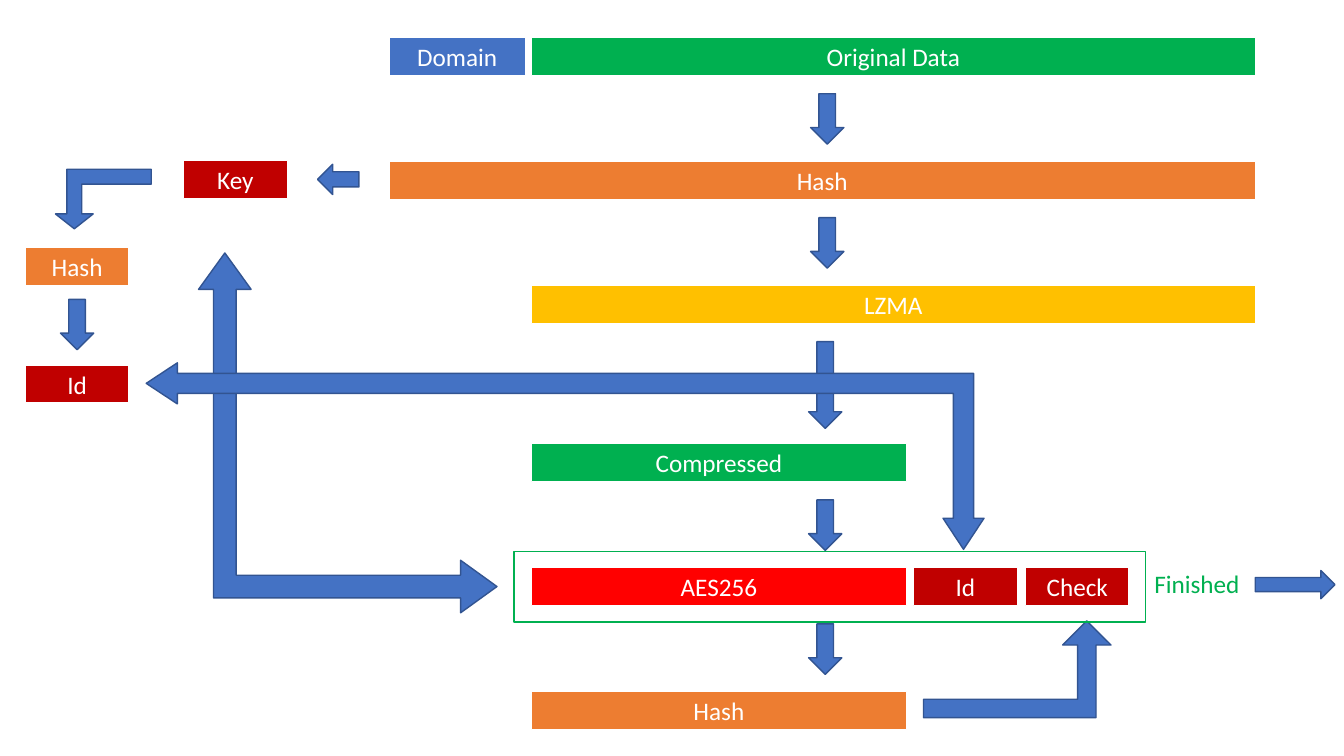
from dataclasses import dataclass

from pptx import Presentation
from pptx.dml.color import RGBColor
from pptx.enum.shapes import MSO_SHAPE as Shape
from pptx.enum.text import MSO_ANCHOR as Anchor, PP_ALIGN as Align
from pptx.util import Inches, Pt


@dataclass(frozen=True)
class Theme:
    font: str = "Calibri"
    size: int = 18
    line_width: int = 1
    white: str = "FFFFFF"
    blue: str = "4472C4"
    blue_edge: str = "325491"
    green: str = "00B050"
    orange: str = "ED7D31"
    yellow: str = "FFC000"
    red: str = "FF0000"
    dark_red: str = "C00000"


THEME = Theme()

# Grid, in inches
PITCH = 1.23
BAR_HEIGHT = 0.38
ROWS = [top + PITCH * step for top, count in ((0.37, 3), (4.4, 3)) for step in range(count)]
DATA_ROW, HASH_ROW, LZMA_ROW, COMPRESSED_ROW, AES_ROW, CHECK_HASH_ROW = ROWS
ID_COLUMN, KEY_COLUMN, DOMAIN_COLUMN, DATA_COLUMN = 0.25, 1.82, 3.86, 5.27
RIGHT_EDGE = 12.45
DATA_WIDTH = RIGHT_EDGE - DATA_COLUMN
COMPRESSED_WIDTH = 3.72
SMALL_WIDTH = 1.03
ARROW_WIDTH, ARROW_HEIGHT, ARROW_GAP = 0.33, 0.5, 0.18


def color(value):
    return RGBColor.from_string(value)


def write_text(shape, text, ink=THEME.white, align=Align.CENTER, anchor=Anchor.MIDDLE):
    frame = shape.text_frame
    frame.word_wrap = True
    frame.vertical_anchor = anchor
    paragraph = frame.paragraphs[0]
    paragraph.alignment = align
    run = paragraph.add_run()
    run.text = text
    run.font.name = THEME.font
    run.font.size = Pt(THEME.size)
    run.font.color.rgb = color(ink)


def add_block(slide, kind, box, fill=None, line=THEME.white):
    shape = slide.shapes.add_shape(kind, *map(Inches, box))
    shape.shadow.inherit = False
    if fill:
        shape.fill.solid()
        shape.fill.fore_color.rgb = color(fill)
    else:
        shape.fill.background()
    shape.line.color.rgb = color(line)
    shape.line.width = Pt(THEME.line_width)
    return shape


def add_bar(slide, text, left, top, width, fill):
    bar = add_block(slide, Shape.RECTANGLE, (left, top, width, BAR_HEIGHT), fill)
    write_text(bar, text)


def add_arrow(slide, kind, box, adjustments=(), flips=()):
    arrow = add_block(slide, kind, box, THEME.blue, THEME.blue_edge)
    for index, value in enumerate(adjustments):
        arrow.adjustments[index] = value
    for flip in flips:
        arrow._element.spPr.get_or_add_xfrm().set(flip, "1")


def add_down_arrow(slide, left, bar_top, height=ARROW_HEIGHT, gap=ARROW_GAP):
    top = bar_top + BAR_HEIGHT + gap
    add_arrow(slide, Shape.DOWN_ARROW, (left, top, ARROW_WIDTH, height))


def add_main_flow(slide):
    bars = (
        ("Domain", DOMAIN_COLUMN, DATA_ROW, 1.35, THEME.blue),
        ("Original Data", DATA_COLUMN, DATA_ROW, DATA_WIDTH, THEME.green),
        ("Hash", DOMAIN_COLUMN, HASH_ROW, RIGHT_EDGE - DOMAIN_COLUMN, THEME.orange),
        ("LZMA", DATA_COLUMN, LZMA_ROW, DATA_WIDTH, THEME.yellow),
        ("Compressed", DATA_COLUMN, COMPRESSED_ROW, COMPRESSED_WIDTH, THEME.green),
        ("AES256", DATA_COLUMN, AES_ROW, COMPRESSED_WIDTH, THEME.red),
        ("Hash", DATA_COLUMN, CHECK_HASH_ROW, COMPRESSED_WIDTH, THEME.orange),
    )
    for bar in bars:
        add_bar(slide, *bar)
    for row in (DATA_ROW, HASH_ROW):
        add_down_arrow(slide, 8.04, row)
    add_down_arrow(slide, 8.02, LZMA_ROW, height=0.86)
    for row in (COMPRESSED_ROW, AES_ROW):
        add_down_arrow(slide, 8.02, row)


def add_key_branch(slide):
    side_hash_row, id_row = 2.45, 3.62
    add_bar(slide, "Key", KEY_COLUMN, HASH_ROW - 0.01, SMALL_WIDTH, THEME.dark_red)
    add_bar(slide, "Hash", ID_COLUMN, side_hash_row, SMALL_WIDTH, THEME.orange)
    add_bar(slide, "Id", ID_COLUMN, id_row, SMALL_WIDTH, THEME.dark_red)
    add_arrow(slide, Shape.LEFT_ARROW, (3.15, 1.63, 0.41, 0.3))
    add_down_arrow(slide, 0.6, side_hash_row, gap=0.14)
    add_arrow(slide, Shape.BENT_UP_ARROW, (0.55, 1.68, 0.95, 0.59),
              (0.25, 0.317, 0.25), ("flipH", "flipV"))


def add_package(slide):
    # Links from the key and the id to the encrypted package
    add_arrow(slide, Shape.LEFT_UP_ARROW, (1.97, 2.51, 2.96, 3.57),
              (0.076, 0.088, 0.122), ("flipH",))
    add_arrow(slide, Shape.LEFT_UP_ARROW, (1.45, 3.6, 8.31, 1.85),
              (0.108, 0.11, 0.167), ("flipV",))

    # Id and check beside the encrypted data
    for text, left in (("Id", 9.06), ("Check", 10.17)):
        add_bar(slide, text, left, AES_ROW, SMALL_WIDTH, THEME.dark_red)
    add_arrow(slide, Shape.BENT_UP_ARROW, (9.16, 6.16, 1.86, 0.96), (0.19, 0.25, 0.25))

    # Package outline and its exit
    add_block(slide, Shape.RECTANGLE, (5.1, 5.47, 6.26, 0.7), line=THEME.green)
    label = slide.shapes.add_textbox(*map(Inches, (11.35, 5.59, 1.29, 0.4)))
    write_text(label, "Finished", ink=THEME.green, align=Align.LEFT, anchor=Anchor.TOP)
    add_arrow(slide, Shape.RIGHT_ARROW, (RIGHT_EDGE, 5.66, 0.79, 0.28))


def main():
    presentation = Presentation()
    presentation.slide_width = Inches(13.33)
    presentation.slide_height = Inches(7.5)
    slide = presentation.slides.add_slide(presentation.slide_layouts[6])
    add_main_flow(slide)
    add_key_branch(slide)
    add_package(slide)
    presentation.save("out.pptx")


main()
